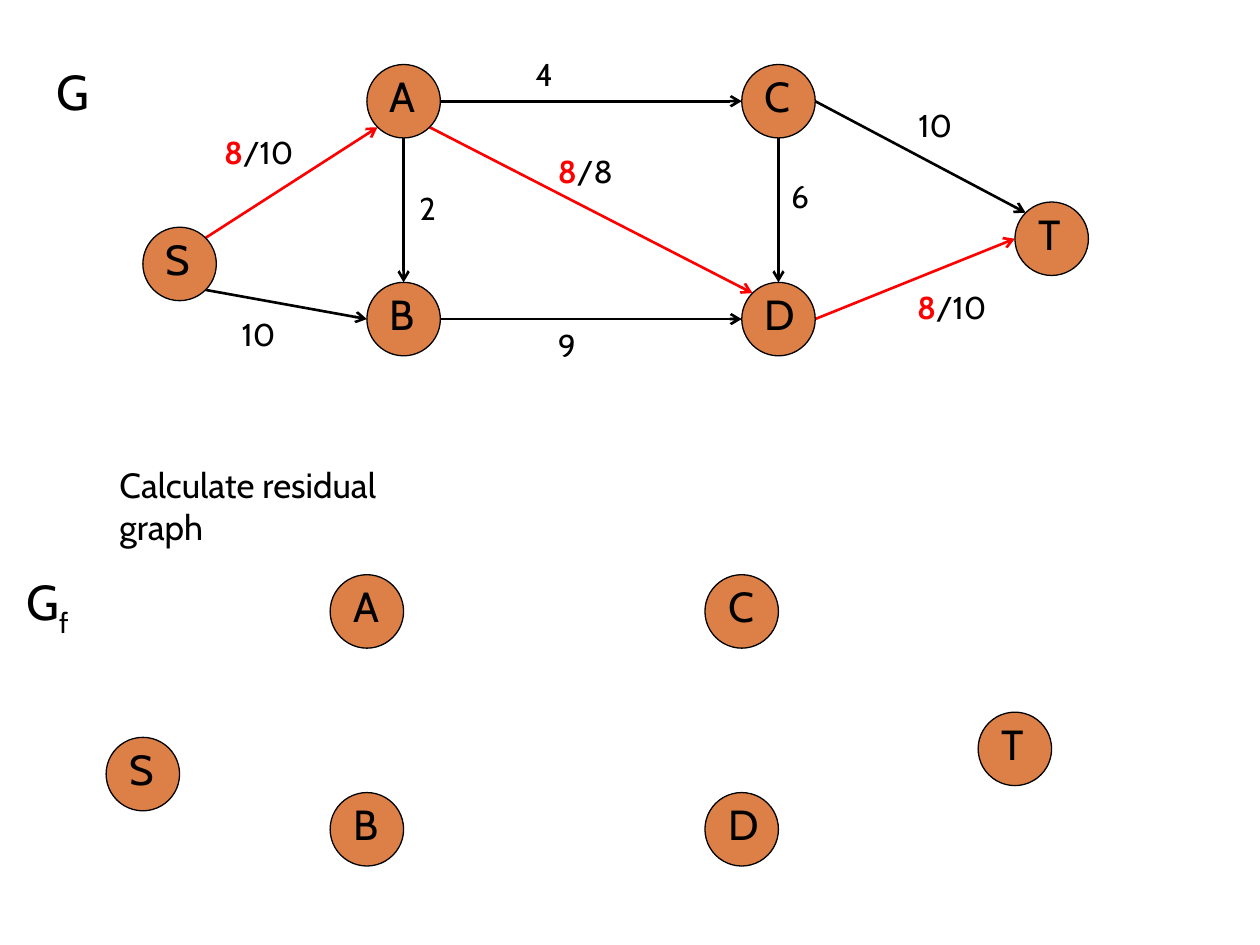
from dataclasses import dataclass

from lxml import etree
from pptx import Presentation
from pptx.dml.color import RGBColor
from pptx.enum.shapes import MSO_CONNECTOR, MSO_SHAPE
from pptx.enum.text import MSO_AUTO_SIZE
from pptx.oxml.ns import qn
from pptx.util import Inches, Pt

ELLIPSE = MSO_SHAPE.OVAL
STRAIGHT = MSO_CONNECTOR.STRAIGHT
GROW = MSO_AUTO_SIZE.SHAPE_TO_FIT_TEXT

# Grid of 100 columns by 75 rows
COLUMNS, ROWS = 100, 75
CELL = Inches(0.1)
DIAMETER = 5.83
LETTER_INDENT = 0.85
LETTER_SIZE = 5

FONT = "Cabin"
BLACK, RED, ORANGE = "000000", "FF0000", "DD8047"

# Connection sites on a circle, as shares of its diameter
SITES = {
    "top": (0.5, 0), "bottom": (0.5, 1), "left": (0, 0.5), "right": (1, 0.5),
    "top left": (0.146, 0.146), "top right": (0.854, 0.146),
    "bottom left": (0.146, 0.854), "bottom right": (0.854, 0.854),
}

# Top left corner of each node: column, row
NODES = {
    "S": (11.34, 18.03), "A": (29.12, 5.12), "B": (29.12, 22.41),
    "C": (58.87, 5.12), "D": (58.87, 22.41), "T": (80.55, 16.03),
}
RESIDUAL_SHIFT = (-2.92, 40.49)


@dataclass
class Edge:
    start: str
    start_site: str
    end: str
    end_site: str
    capacity: str
    column: float
    row: float
    width: float = 7.5
    flow: str = ""


EDGES = [
    Edge("S", "top right", "A", "bottom left", "10", 16.8, 10.1, flow="8"),
    Edge("S", "bottom right", "B", "left", "10", 18.2, 24.5),
    Edge("B", "right", "D", "left", "9", 43.3, 25.4),
    Edge("A", "bottom", "B", "top", "2", 32.3, 14.5),
    Edge("A", "right", "C", "left", "4", 41.5, 3.9, 9.3),
    Edge("C", "bottom", "D", "top", "6", 61.8, 13.6),
    Edge("A", "bottom right", "D", "top left", "8", 43.3, 11.6, 9.5, "8"),
    Edge("C", "right", "T", "top left", "10", 71.9, 7.9, 9.5),
    Edge("D", "right", "T", "left", "10", 71.8, 22.4, 9.5, "8"),
]


def color(value: str) -> RGBColor:
    return RGBColor.from_string(value)


def grid(cells: float) -> int:
    return round(cells * CELL)


def add_text(shapes, text: str, column: float, row: float, width: float,
             height: float, size: float):
    """Add a text box and return its paragraph."""
    box = shapes.add_textbox(grid(column), grid(row), grid(width), grid(height))
    frame = box.text_frame
    frame.word_wrap = True
    frame.auto_size = GROW
    paragraph = frame.paragraphs[0]
    paragraph.font.name = FONT
    paragraph.font.size = Pt(size)
    paragraph.font.color.rgb = color(BLACK)
    if text:
        paragraph.add_run().text = text
    return paragraph


def add_node(shapes, letter: str, column: float, row: float) -> None:
    group = shapes.add_group_shape().shapes
    circle = group.add_shape(ELLIPSE, grid(column), grid(row),
                             grid(DIAMETER), grid(DIAMETER))
    circle.shadow.inherit = False
    circle.fill.solid()
    circle.fill.fore_color.rgb = color(ORANGE)
    circle.line.color.rgb = color(BLACK)
    circle.line.width = Pt(0.75)
    add_text(group, letter, column + LETTER_INDENT, row,
             LETTER_SIZE, LETTER_SIZE, 24)


def site_position(node: str, site: str) -> tuple[int, int]:
    column, row = NODES[node]
    across, down = SITES[site]
    return grid(column + across * DIAMETER), grid(row + down * DIAMETER)


def add_edge(shapes, edge: Edge) -> None:
    connector = shapes.add_connector(
        STRAIGHT, *site_position(edge.start, edge.start_site),
        *site_position(edge.end, edge.end_site))
    connector.line.color.rgb = color(RED if edge.flow else BLACK)
    connector.line.width = Pt(1.5)
    etree.SubElement(connector.line._get_or_add_ln(), qn("a:tailEnd"), type="arrow")
    etree.SubElement(connector._element.spPr, qn("a:effectLst"))

    # Flow in bold red, then capacity
    label = add_text(shapes, edge.flow, edge.column, edge.row, edge.width, 4, 18)
    if edge.flow:
        flow = label.runs[0]
        flow.font.bold = True
        flow.font.color.rgb = color(RED)
    label.add_run().text = f"/{edge.capacity}" if edge.flow else edge.capacity


def main() -> None:
    presentation = Presentation()
    presentation.slide_width = COLUMNS * CELL
    presentation.slide_height = ROWS * CELL
    slide = presentation.slides.add_slide(presentation.slide_layouts[6])
    shapes = slide.shapes

    # Flow network
    add_text(shapes, "G", 3.5, 4.4, 8.8, 5.7, 28)
    for edge in EDGES:
        add_edge(shapes, edge)

    # Nodes of the network and of its residual graph
    for shift_column, shift_row in ((0, 0), RESIDUAL_SHIFT):
        for letter, (column, row) in NODES.items():
            add_node(shapes, letter, column + shift_column, row + shift_row)

    # Residual graph captions
    residual_name = add_text(shapes, "G", 1.1, 44.9, 8.8, 5.7, 28)
    subscript = residual_name.add_run()
    subscript.text = "f"
    subscript.font._element.set("baseline", "-25000")
    add_text(shapes, "Calculate residual graph", 8.5, 36.3, 28, 7.7, 20)

    presentation.save("out.pptx")


if __name__ == "__main__":
    main()
